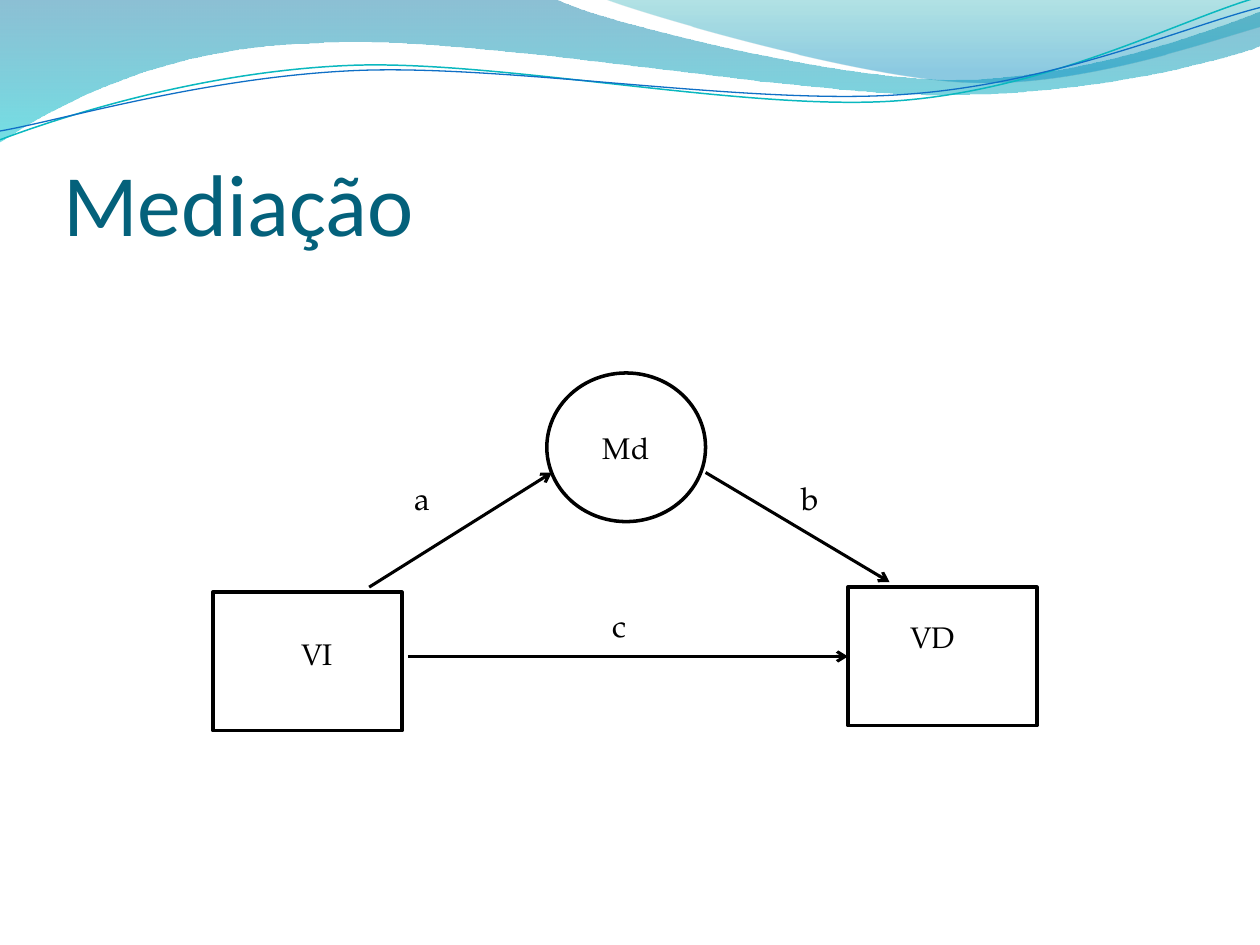
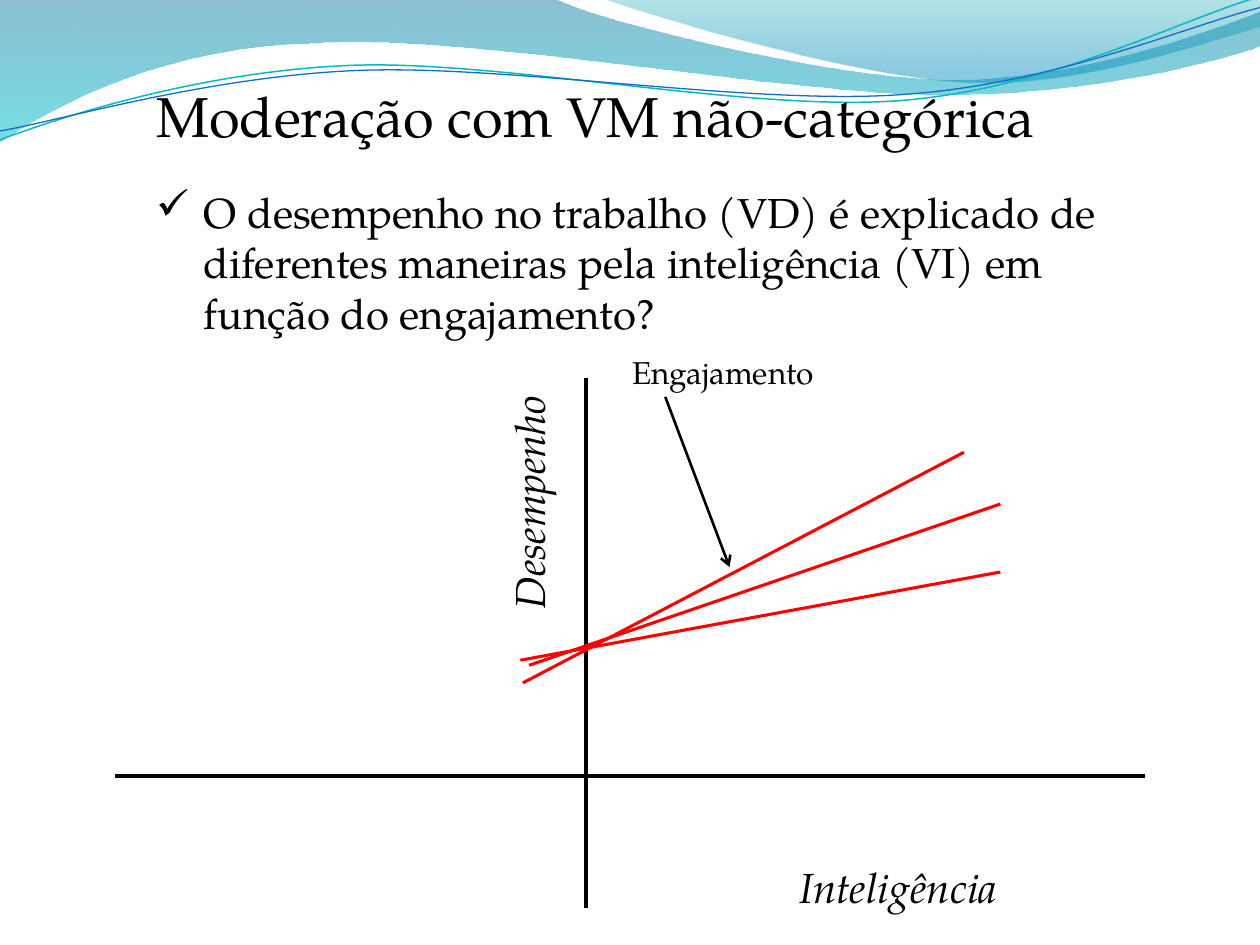
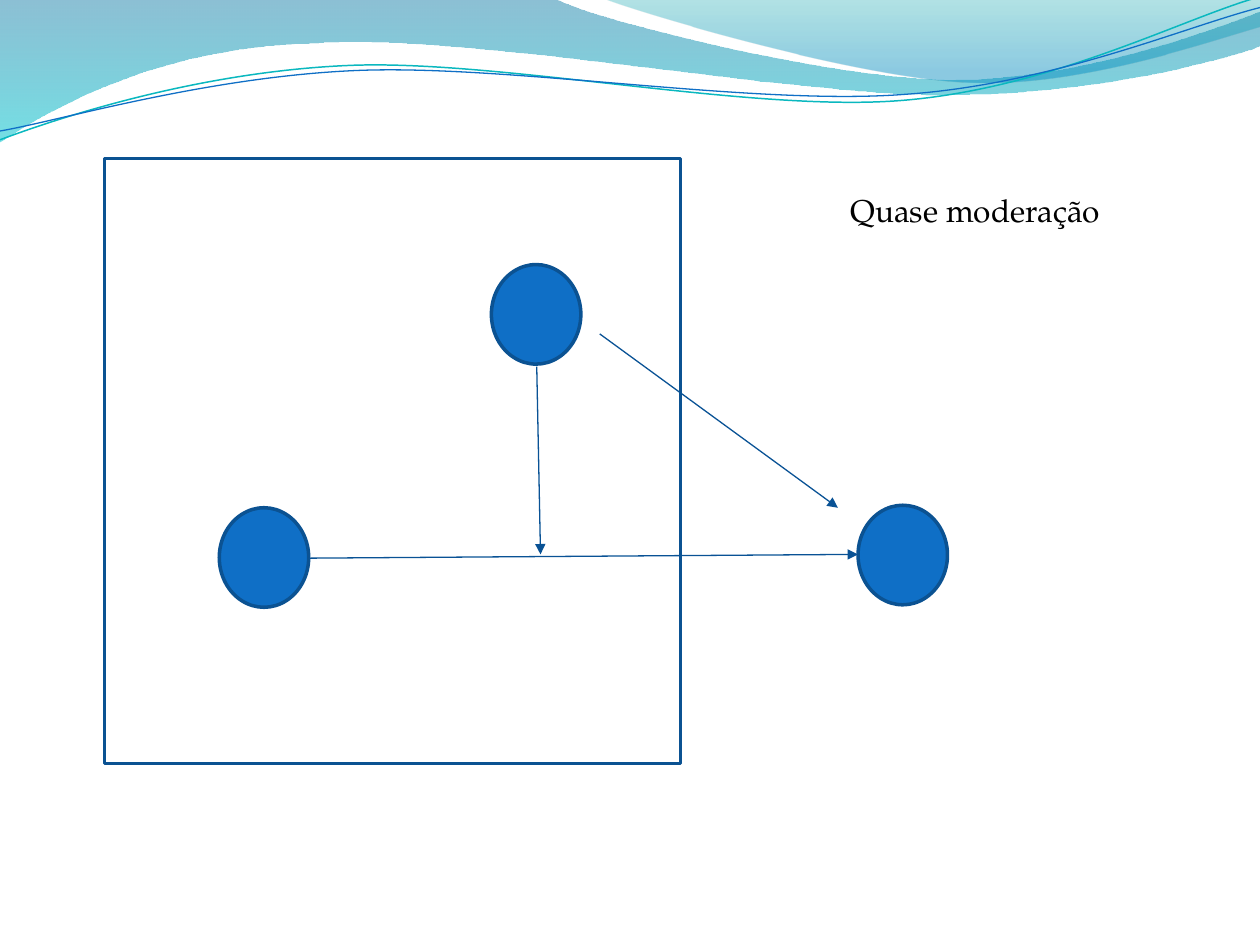
from dataclasses import dataclass
from itertools import islice

from pptx import Presentation
from pptx import util as u
from pptx.dml.color import RGBColor
from pptx.enum import shapes, text
from pptx.oxml import ns, parse_xml

PX = 9144  # 100 px to the inch
SERIF, SANS = "TeX Gyre Pagella", "Calibri"
COLORS = {
    "ink": "000000",
    "title": "04617B",
    "slope": "FF0000",
    "node": "0F6FC6",
    "outline": "0B5292",
    "path": "095295",
    "teal": "0AB8BF",
    "band top": "0074A1",
    "band bottom": "00C6CF",
    "crest top": "00A1A9",
    "crest bottom": "008BBF",
}
Point = tuple[int, int]
Box = tuple[int, int, int, int]


@dataclass
class Stop:
    position: int
    color: str
    opacity: int


@dataclass
class Wave:
    """Outline whose segments hold one point (line) or three (curve)."""
    start: Point
    segments: list[tuple[Point, ...]]
    stops: tuple[Stop, ...] = ()
    color: str = ""
    width: float = 0


@dataclass
class Style:
    size: int = 18
    font: str = SERIF
    color: str = "ink"
    italic: bool = False
    align: text.PP_ALIGN = text.PP_ALIGN.LEFT


@dataclass
class Label:
    words: str
    box: Box
    style: Style
    rotation: int = 0
    bullet: str = ""


@dataclass
class Node:
    kind: shapes.MSO_SHAPE
    box: Box
    line: str = "ink"
    fill: str = ""


@dataclass
class Line:
    start: Point
    end: Point
    color: str = "ink"
    width: float = 1.75
    head: str = ""


WAVES = [
    Wave((0, 0), [
        ((440, -1),),
        ((476, 17), (664, 63), (758, 63)),
        ((853, 63), (958, 26), (1000, 9)),
        ((1001, 36),),
        ((983, 44), (870, 76), (746, 75)),
        ((622, 75), (382, 28), (257, 34)),
        ((129, 36), (46, 83), (-1, 113)),
    ], stops=(Stop(0, "band top", 45), Stop(100, "band bottom", 55))),
    Wave((479, -1), [
        ((509, 11), (682, 62), (769, 65)),
        ((856, 69), (961, 32), (1000, 21)),
        ((1000, 0),),
    ], stops=(Stop(0, "crest top", 30), Stop(80, "crest bottom", 45))),
    Wave((0, 111), [
        ((48, 93), (158, 57), (277, 52)),
        ((395, 47), (593, 89), (713, 80)),
        ((833, 71), (938, 15), (998, -2)),
    ], color="teal", width=0.85),
    Wave((0, 104), [
        ((47, 96), (164, 61), (283, 56)),
        ((403, 51), (597, 84), (717, 75)),
        ((836, 67), (941, 21), (1000, 6)),
    ], color="node", width=0.75),
]

PLAIN = Style()
VARIABLE = Style(17, align=text.PP_ALIGN.CENTER)
BODY = Style(24)
AXIS = Style(24, italic=True)
AXIS_CENTERED = Style(24, italic=True, align=text.PP_ALIGN.CENTER)
OVAL, RECT = shapes.MSO_SHAPE.OVAL, shapes.MSO_SHAPE.RECTANGLE


def rgb(name: str) -> RGBColor:
    return RGBColor.from_string(COLORS[name])


def emu(values: tuple[int, ...]) -> list[int]:
    return [u.Emu(v * PX) for v in values]


def gradient(stops: tuple[Stop, ...]):
    """Top-to-bottom gradient fill with transparent stops."""
    marks = "".join(
        f'<a:gs pos="{s.position * 1000}"><a:srgbClr val="{COLORS[s.color]}">'
        f'<a:alpha val="{s.opacity * 1000}"/></a:srgbClr></a:gs>' for s in stops)
    return parse_xml(f'<a:gradFill {ns.nsdecls("a")}><a:gsLst>{marks}</a:gsLst>'
                     '<a:lin ang="5400000" scaled="0"/></a:gradFill>')


def bend(path, segments: list[tuple[Point, ...]]) -> None:
    """Turn each run of three line nodes of a curve into one Bézier node."""
    nodes = iter(path.findall(ns.qn("a:lnTo")))
    for segment in segments:
        group = list(islice(nodes, len(segment)))
        if len(group) == 3:
            curve = path.makeelement(ns.qn("a:cubicBezTo"))
            group[0].addprevious(curve)
            for node in group:
                curve.append(node[0])
                path.remove(node)


def add_wave(slide, wave: Wave):
    builder = slide.shapes.build_freeform(*wave.start, scale=PX)
    points = [point for segment in wave.segments for point in segment]
    builder.add_line_segments(points, close=bool(wave.stops))
    sp = builder.convert_to_shape()
    sp.shadow.inherit = False
    bend(next(sp.element.iter(ns.qn("a:path"))), wave.segments)
    if wave.stops:
        sp.line.fill.background()
        sp.element.spPr.find(ns.qn("a:custGeom")).addnext(gradient(wave.stops))
    else:
        sp.fill.background()
        sp.line.color.rgb = rgb(wave.color)
        sp.line.width = u.Pt(wave.width)
    return sp


def share_waves(prs, slide) -> None:
    """Draw the waves and hand them to the master, so every slide shows them."""
    for wave in WAVES:
        prs.slide_master.shapes.element.append(add_wave(slide, wave).element)


def write(tf, words: str, style: Style, bullet: str = "") -> None:
    tf.word_wrap = True
    p = tf.paragraphs[0]
    p.alignment = style.align
    if bullet:
        pPr = p._p.get_or_add_pPr()
        pPr.set("marL", str(38 * PX))
        pPr.set("indent", str(-38 * PX))
        pPr.append(parse_xml(f'<a:buChar {ns.nsdecls("a")} char="{bullet}"/>'))
    r = p.add_run()
    r.text = words
    r.font.size = u.Pt(style.size)
    r.font.name = style.font
    r.font.italic = style.italic
    r.font.color.rgb = rgb(style.color)


def set_title(slide, words: str, box: Box, style: Style,
              anchor: text.MSO_ANCHOR, insets: Box) -> None:
    sp = slide.shapes.title
    sp.left, sp.top, sp.width, sp.height = emu(box)
    tf = sp.text_frame
    tf.auto_size = text.MSO_AUTO_SIZE.NONE
    tf.vertical_anchor = anchor
    tf.margin_left, tf.margin_top, tf.margin_right, tf.margin_bottom = emu(insets)
    write(tf, words, style)


def add_label(slide, label: Label) -> None:
    sp = slide.shapes.add_textbox(*emu(label.box))
    sp.rotation = label.rotation
    write(sp.text_frame, label.words, label.style, label.bullet)
    sp.text_frame.auto_size = text.MSO_AUTO_SIZE.SHAPE_TO_FIT_TEXT


def add_node(slide, node: Node) -> None:
    sp = slide.shapes.add_shape(node.kind, *emu(node.box))
    sp.shadow.inherit = False
    sp.line.color.rgb = rgb(node.line)
    sp.line.width = u.Pt(2)
    if node.fill:
        sp.fill.solid()
        sp.fill.fore_color.rgb = rgb(node.fill)
    else:
        sp.fill.background()


def add_line(slide, line: Line) -> None:
    cx = slide.shapes.add_connector(
        shapes.MSO_CONNECTOR.STRAIGHT, *emu(line.start + line.end))
    cx.line.color.rgb = rgb(line.color)
    cx.line.width = u.Pt(line.width)
    if line.head:
        cx.line._get_or_add_ln().append(
            parse_xml(f'<a:tailEnd {ns.nsdecls("a")} type="{line.head}"/>'))
    cx.element.spPr.append(parse_xml(f'<a:effectLst {ns.nsdecls("a")}/>'))


DRAW = {Label: add_label, Node: add_node, Line: add_line}


def draw(slide, items: list) -> None:
    for item in items:
        DRAW[type(item)](slide, item)


def mediation(slide) -> None:
    set_title(slide, "Mediação", (50, 77, 900, 125), Style(50, SANS, "title"),
              text.MSO_ANCHOR.BOTTOM, (0, 5, 0, 0))
    draw(slide, [
        Label("VI", (169, 500, 165, 39), VARIABLE),
        Label("VD", (685, 486, 110, 39), VARIABLE),
        Line((324, 521), (673, 521), head="arrow"),
        Node(OVAL, (434, 296, 126, 118)),
        Label("Md", (442, 336, 110, 39), VARIABLE),
        Line((560, 375), (706, 462), head="arrow"),
        Line((293, 466), (438, 375), head="arrow"),
        Node(RECT, (169, 470, 150, 110)),
        Node(RECT, (673, 466, 150, 110)),
        Label("a", (319, 375, 46, 40), PLAIN),
        Label("b", (626, 375, 46, 40), PLAIN),
        Label("c", (476, 476, 46, 40), PLAIN),
    ])


def moderation(slide) -> None:
    set_title(slide, "Moderação com VM não-categórica", (114, 60, 764, 64),
              Style(32), text.MSO_ANCHOR.TOP, (10, 5, 10, 5))
    slopes = [((420, 528), (794, 400)), ((413, 524), (794, 454)),
              ((415, 542), (765, 359))]
    draw(slide, [
        Label("O desempenho no trabalho (VD) é explicado de diferentes maneiras "
              "pela inteligência (VI) em função do engajamento?",
              (114, 143, 827, 131), BODY, bullet="✓"),
        Line((465, 300), (465, 721), width=2),
        Line((909, 616), (91, 616), width=2),
        Label("Desempenho", (305, 354, 229, 50), AXIS, rotation=270),
        Label("Inteligência", (547, 679, 332, 50), AXIS_CENTERED),
        Label("Engajamento", (492, 275, 189, 40), PLAIN),
        Line((528, 315), (579, 450), width=1.5, head="arrow"),
        *(Line(start, end, "slope") for start, end in slopes),
    ])


def quasi_moderation(slide) -> None:
    corners = [(174, 403), (681, 401), (390, 210)]
    paths = [((244, 443), (681, 440)), ((426, 291), (429, 440)),
             ((476, 265), (665, 403))]
    draw(slide, [
        *(Node(OVAL, corner + (71, 79), "outline", "node") for corner in corners),
        Node(RECT, (83, 126, 457, 480), "outline"),
        *(Line(start, end, "path", 0.75, "triangle") for start, end in paths),
        Label("Quase moderação", (665, 147, 220, 40), PLAIN),
    ])


def main() -> None:
    prs = Presentation()
    prs.slide_width, prs.slide_height = emu((1000, 750))
    title_only, blank = prs.slide_layouts[5], prs.slide_layouts[6]
    pages = [(title_only, mediation), (title_only, moderation),
             (blank, quasi_moderation)]
    for layout, fill_slide in pages:
        fill_slide(prs.slides.add_slide(layout))
    share_waves(prs, prs.slides[0])
    prs.save("out.pptx")


if __name__ == "__main__":
    main()
